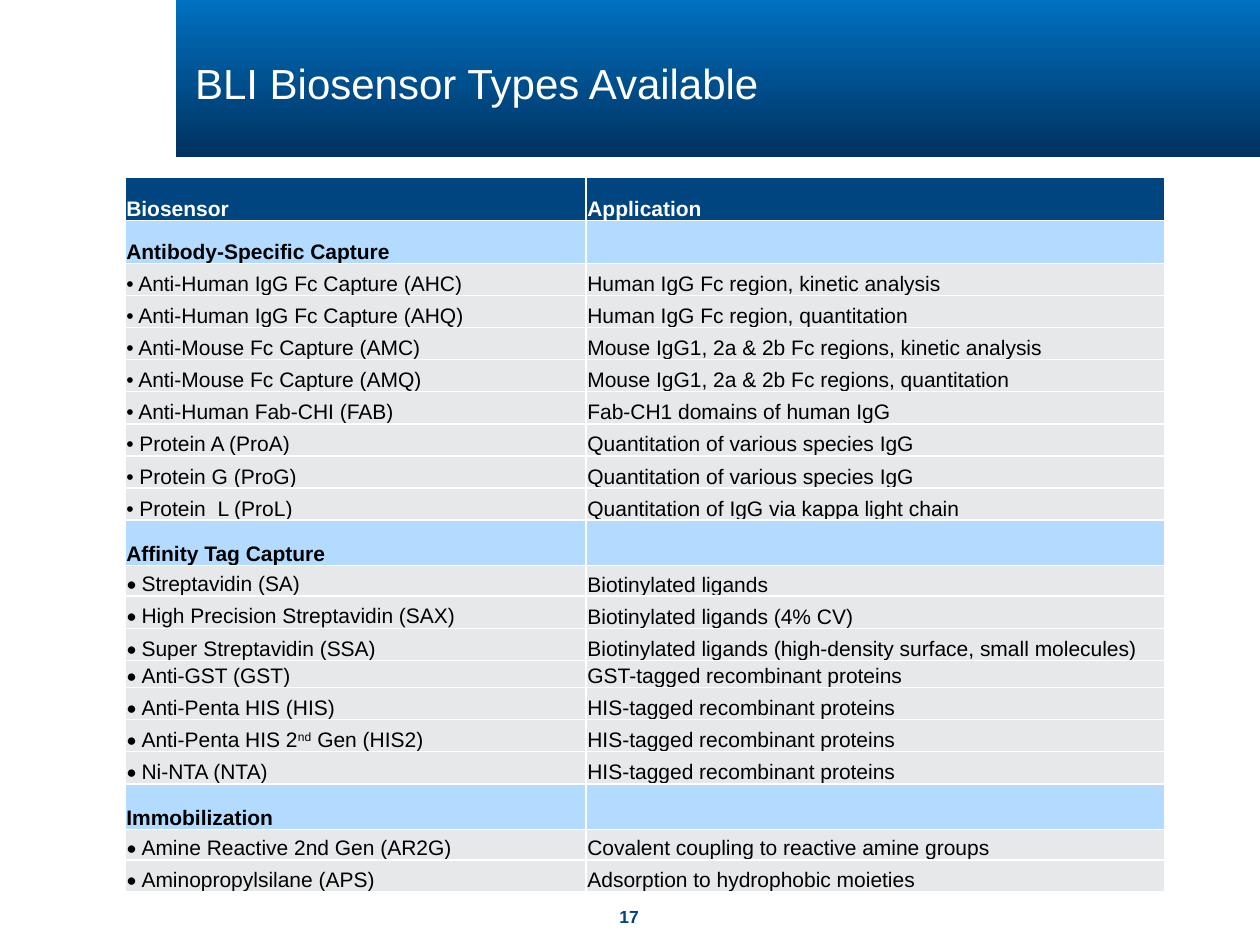
from lxml import etree
from pptx import Presentation
from pptx.dml.color import RGBColor
from pptx.enum.shapes import MSO_SHAPE
from pptx.enum.text import MSO_ANCHOR, PP_ALIGN
from pptx.oxml.ns import qn
from pptx.util import Pt

RECTANGLE = MSO_SHAPE.RECTANGLE
TOP, MIDDLE, BOTTOM = MSO_ANCHOR.TOP, MSO_ANCHOR.MIDDLE, MSO_ANCHOR.BOTTOM
LEFT, CENTER = PP_ALIGN.LEFT, PP_ALIGN.CENTER

COLORS = {
    "white": "FFFFFF",
    "black": "000000",
    "banner_top": "0070C0",
    "banner_bottom": "003260",
    "navy": "004480",
    "section": "B3DBFF",
    "entry": "E7E8EA",
}

HEADINGS = ("Biosensor", "Application")
SECTIONS = [
    ("Antibody-Specific Capture", 24.5, "Arial", [
        ("Anti-Human IgG Fc Capture (AHC)", "Human IgG Fc region, kinetic analysis"),
        ("Anti-Human IgG Fc Capture (AHQ)", "Human IgG Fc region, quantitation"),
        ("Anti-Mouse Fc Capture (AMC)", "Mouse IgG1, 2a & 2b Fc regions, kinetic analysis"),
        ("Anti-Mouse Fc Capture (AMQ)", "Mouse IgG1, 2a & 2b Fc regions, quantitation"),
        ("Anti-Human Fab-CHI (FAB)", "Fab-CH1 domains of human IgG"),
        ("Protein A (ProA)", "Quantitation of various species IgG"),
        ("Protein G (ProG)", "Quantitation of various species IgG"),
        ("Protein  L (ProL)", "Quantitation of IgG via kappa light chain"),
    ]),
    ("Affinity Tag Capture", 26, "Calibri", [
        ("Streptavidin (SA)", "Biotinylated ligands"),
        ("High Precision Streptavidin (SAX)", "Biotinylated ligands (4% CV)"),
        ("Super Streptavidin (SSA)",
         "Biotinylated ligands (high-density surface, small molecules)"),
        ("Anti-GST (GST)", "GST-tagged recombinant proteins"),
        ("Anti-Penta HIS (HIS)", "HIS-tagged recombinant proteins"),
        ("Anti-Penta HIS 2^nd^ Gen (HIS2)", "HIS-tagged recombinant proteins"),
        ("Ni-NTA (NTA)", "HIS-tagged recombinant proteins"),
    ]),
    ("Immobilization", 26, "Calibri", [
        ("Amine Reactive 2nd Gen (AR2G)", "Covalent coupling to reactive amine groups"),
        ("Aminopropylsilane (APS)", "Adsorption to hydrophobic moieties"),
    ]),
]
HEADER_HEIGHT = 24.5
ENTRY_HEIGHT = 18.35
TIGHT_HEIGHTS = {
    "Streptavidin (SA)": 17.5,
    "Anti-GST (GST)": 15.5,
    "Amine Reactive 2nd Gen (AR2G)": 17.5,
}


def rgb(name):
    return RGBColor.from_string(COLORS[name])


def add_text(paragraph, text, size=12, color="black", bold=False, font="Arial",
             align=LEFT, spacing=0.85):
    paragraph.alignment = align
    paragraph.line_spacing = spacing
    for index, part in enumerate(text.split("^")):
        run = paragraph.add_run()
        run.text = part
        run.font.name = font
        run.font.size = Pt(size)
        run.font.bold = bold
        run.font.color.rgb = rgb(color)
        if index % 2:
            run.font._element.set("baseline", "30000")


def add_label(slide, box, text, anchor, **text_format):
    frame = slide.shapes.add_textbox(*map(Pt, box)).text_frame
    frame.word_wrap = True
    frame.vertical_anchor = anchor
    frame.margin_left = frame.margin_right = frame.margin_top = frame.margin_bottom = 0
    add_text(frame.paragraphs[0], text, **text_format)


def add_banner(slide, box, title):
    left, top, width, height = box
    banner = slide.shapes.add_shape(RECTANGLE, *map(Pt, box))
    banner.shadow.inherit = False
    banner.line.fill.background()
    banner.fill.gradient()
    banner.fill.gradient_angle = 270
    stops = zip(banner.fill.gradient_stops, ("banner_top", "banner_bottom"), (0, 1))
    for stop, color, position in stops:
        stop.color.rgb = rgb(color)
        stop.position = position
    title_box = (left + 11, top + 16, width - 32, height - 23)
    add_label(slide, title_box, title, MIDDLE, size=24, color="white")


def style_cell(cell, fill):
    cell.vertical_anchor = BOTTOM
    cell.margin_left = cell.margin_right = cell.margin_top = Pt(0.7)
    cell.margin_bottom = 0
    properties = cell._tc.get_or_add_tcPr()
    for side in ("lnL", "lnR", "lnT", "lnB"):
        border = etree.SubElement(properties, qn(f"a:{side}"), w=str(Pt(1)))
        line_fill = etree.SubElement(border, qn("a:solidFill"))
        etree.SubElement(line_fill, qn("a:srgbClr"), val=COLORS["white"])
    cell.fill.solid()
    cell.fill.fore_color.rgb = rgb(fill)


def table_rows():
    yield HEADINGS, HEADER_HEIGHT, "navy", None
    for heading, height, bullet_font, entries in SECTIONS:
        yield (heading, ""), height, "section", None
        for entry in entries:
            yield entry, TIGHT_HEIGHTS.get(entry[0], ENTRY_HEIGHT), "entry", bullet_font


def add_biosensor_table(slide, box, column_widths):
    rows = list(table_rows())
    table = slide.shapes.add_table(len(rows), len(column_widths), *map(Pt, box)).table
    table.horz_banding = False
    for column, width in zip(table.columns, column_widths):
        column.width = Pt(width)
    for row, (texts, height, fill, bullet_font) in zip(table.rows, rows):
        row.height = Pt(height)
        for index, (cell, text) in enumerate(zip(row.cells, texts)):
            style_cell(cell, fill)
            paragraph = cell.text_frame.paragraphs[0]
            if bullet_font and index == 0:
                add_text(paragraph, "• ", font=bullet_font)
            if text:
                add_text(paragraph, text, bold=bullet_font is None,
                         color="white" if fill == "navy" else "black")


def main():
    deck = Presentation()
    deck.slide_width, deck.slide_height = Pt(720), Pt(540)
    slide = deck.slides.add_slide(deck.slide_layouts[6])
    add_label(slide, (342, 517.5, 35, 12.5), "17", TOP, size=10, color="navy",
              bold=True, align=CENTER, spacing=1)
    add_banner(slide, (100.5, 0, 619.5, 90), "BLI Biosensor Types Available")
    add_biosensor_table(slide, (71.5, 101.5, 594, 408.4), (263.5, 330.5))
    deck.save("out.pptx")


if __name__ == "__main__":
    main()
